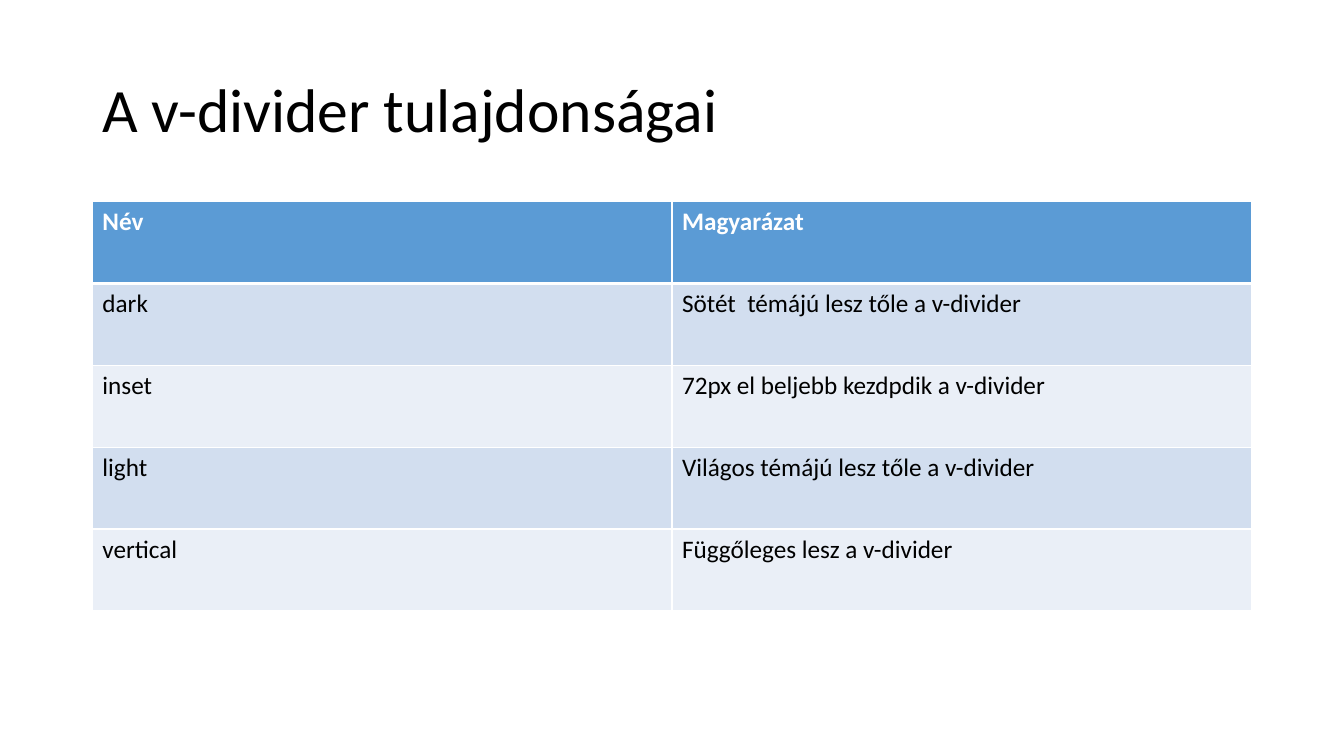
"""Builds the slide on the properties of v-divider."""
from lxml import etree
from pptx import Presentation
from pptx import util as u
from pptx.dml.color import RGBColor
from pptx.enum import text
from pptx.oxml import ns

PX = 9525
FONT = "Calibri"
BLACK = RGBColor(0x00, 0x00, 0x00)
WHITE = RGBColor(0xFF, 0xFF, 0xFF)
HEADER_BLUE = RGBColor(0x5B, 0x9B, 0xD5)
BANDS = (RGBColor(0xEA, 0xEF, 0xF7), RGBColor(0xD2, 0xDE, 0xEF))
LEFT, WIDTH, ROW_HEIGHT = 88, 1104, 78

PROPERTIES = [
    ("Név", "Magyarázat"),
    ("dark", "Sötét  témájú lesz tőle a v-divider"),
    ("inset", "72px el beljebb kezdpdik a v-divider"),
    ("light", "Világos témájú lesz tőle a v-divider"),
    ("vertical", "Függőleges lesz a v-divider"),
]


def px(*lengths):
    """Turn pixel lengths into EMU."""
    return [u.Emu(length * PX) for length in lengths]


def add_run(paragraph, wording, size, color, bold=False):
    """Add one styled run to a paragraph."""
    run = paragraph.add_run()
    run.text = wording
    run.font.name = FONT
    run.font.size = u.Pt(size)
    run.font.bold = bold
    run.font.color.rgb = color


def add_title(slide, wording):
    """Add the slide title, centred vertically in its box."""
    title = slide.shapes.add_textbox(*px(LEFT, 38, WIDTH, 139)).text_frame
    title.word_wrap = True
    title.vertical_anchor = text.MSO_ANCHOR.MIDDLE
    heading = title.paragraphs[0]
    heading.line_spacing = 0.9
    add_run(heading, wording, 44, BLACK)


def set_borders(cell, top, bottom):
    """Draw white borders, with the top and bottom widths in points."""
    properties = cell._tc.get_or_add_tcPr()
    for side, points in (("L", 1), ("R", 1), ("T", top), ("B", bottom)):
        line = etree.SubElement(properties, ns.qn(f"a:ln{side}"), w=str(u.Pt(points)))
        paint = etree.SubElement(line, ns.qn("a:solidFill"))
        etree.SubElement(paint, ns.qn("a:srgbClr"), val=str(WHITE))


def add_property_table(slide, rows):
    """Add the table with a blue header and banded rows."""
    frame = slide.shapes.add_table(
        len(rows), len(rows[0]), *px(LEFT, 192, WIDTH, ROW_HEIGHT * len(rows)))
    for row_index, row in enumerate(rows):
        header = row_index == 0
        for column_index, wording in enumerate(row):
            cell = frame.table.cell(row_index, column_index)
            set_borders(cell, 3 if row_index == 1 else 1, 3 if header else 1)
            cell.fill.solid()
            cell.fill.fore_color.rgb = HEADER_BLUE if header else BANDS[row_index % 2]
            add_run(cell.text_frame.paragraphs[0], wording, 18,
                    WHITE if header else BLACK, header)


def main():
    """Build and save the slide."""
    deck = Presentation()
    deck.slide_width, deck.slide_height = px(1280, 720)
    slide = deck.slides.add_slide(deck.slide_layouts[6])
    add_title(slide, "A v-divider tulajdonságai")
    add_property_table(slide, PROPERTIES)
    deck.save("out.pptx")


if __name__ == "__main__":
    main()
